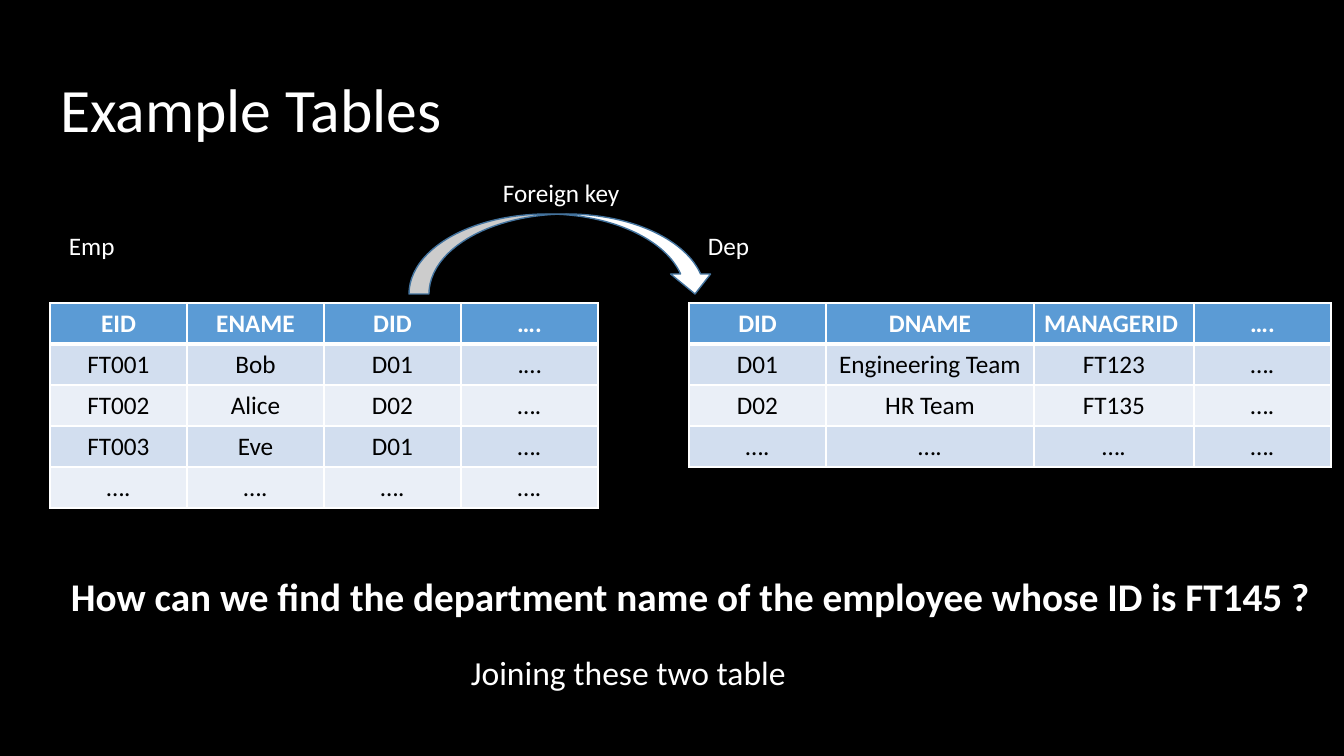
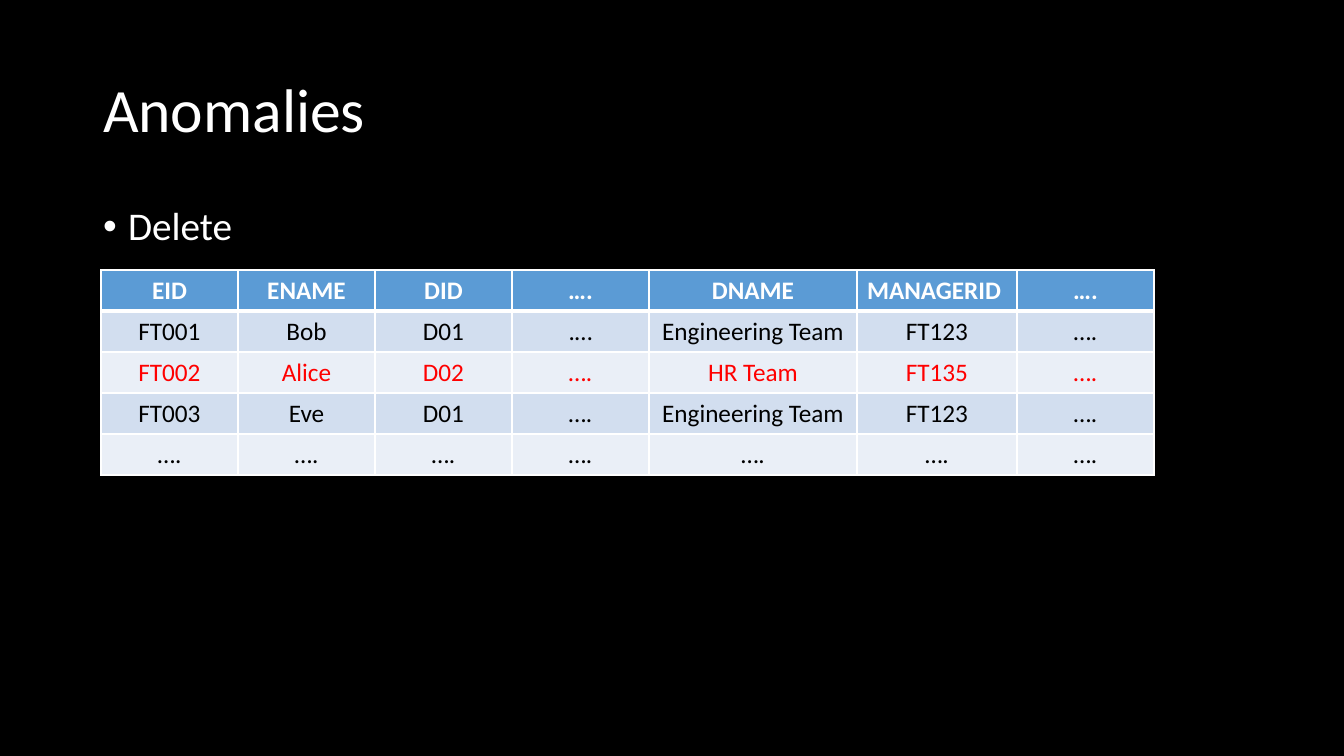
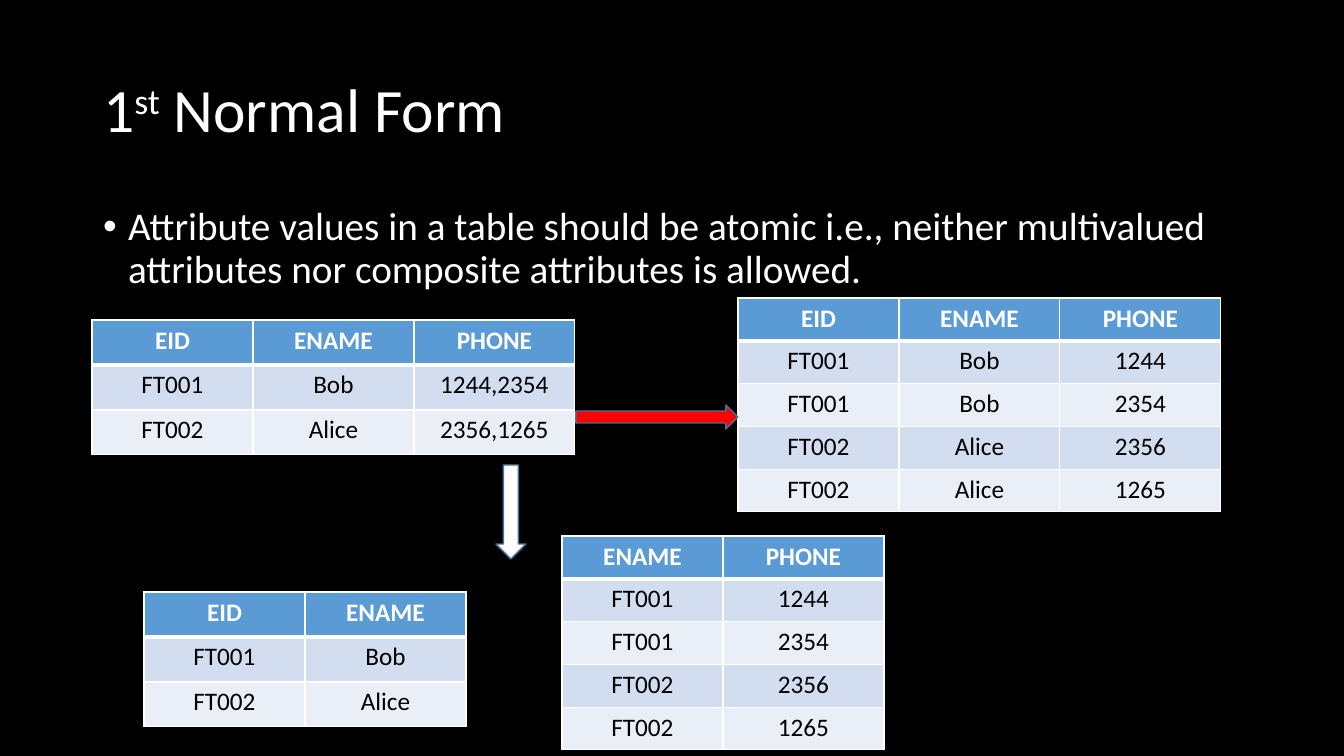
from lxml import etree
from pptx import Presentation
from pptx.dml.color import RGBColor
from pptx.enum.shapes import MSO_SHAPE
from pptx.enum.text import MSO_ANCHOR, MSO_AUTO_SIZE, PP_ALIGN
from pptx.oxml.ns import qn
from pptx.util import Pt

LEFT, CENTER = PP_ALIGN.LEFT, PP_ALIGN.CENTER
TOP, MIDDLE = MSO_ANCHOR.TOP, MSO_ANCHOR.MIDDLE
NO_FIT, GROW = MSO_AUTO_SIZE.NONE, MSO_AUTO_SIZE.SHAPE_TO_FIT_TEXT
CURVED_ARROW = MSO_SHAPE.CURVED_LEFT_ARROW
RIGHT_ARROW, DOWN_ARROW = MSO_SHAPE.RIGHT_ARROW, MSO_SHAPE.DOWN_ARROW

SLIDE_W, SLIDE_H = 1344, 756
EMU_PER_PX = 12192000 / SLIDE_W
FONT = "Calibri"
COLORS = {
    "background": "000000",
    "text": "FFFFFF",
    "cell_text": "000000",
    "alert": "FF0000",
    "header": "5B9BD5",
    "odd_row": "D2DEEF",
    "even_row": "EAEFF7",
    "border": "FFFFFF",
    "arrow": "FFFFFF",
    "arrow_line": "43739E",
}
COLUMN, NAME_COLUMN, MANAGER_COLUMN, PHONE_COLUMN = 137, 208, 160, 161
MARGIN, CONTENT_W = 93, 1159

EMPLOYEES = [
    ["EID", "ENAME", "DID", "…."],
    ["FT001", "Bob", "D01", ".…"],
    ["FT002", "Alice", "D02", "…."],
    ["FT003", "Eve", "D01", "…."],
    ["…."] * 4,
]
DEPARTMENTS = [
    ["DID", "DNAME", "MANAGERID", "…."],
    ["D01", "Engineering Team", "FT123", "…."],
    ["D02", "HR Team", "FT135", "…."],
    ["…."] * 4,
]
PHONES = [
    ["EID", "ENAME", "PHONE"],
    ["FT001", "Bob", "1244"],
    ["FT001", "Bob", "2354"],
    ["FT002", "Alice", "2356"],
    ["FT002", "Alice", "1265"],
]
PHONE_LISTS = [
    PHONES[0],
    ["FT001", "Bob", "1244,2354"],
    ["FT002", "Alice", "2356,1265"],
]


def px(length):
    return round(length * EMU_PER_PX)


def place(box):
    return [px(length) for length in box]


def rgb(name):
    return RGBColor.from_string(COLORS[name])


def write(frame, text, size=18, color="text", bold=False, align=LEFT, spacing=1.0, bullet=False):
    paragraph = frame.paragraphs[0]
    if bullet:
        properties = paragraph._p.get_or_add_pPr()
        properties.set("marL", str(px(25)))
        properties.set("indent", str(-px(25)))
        etree.SubElement(properties, qn("a:buFont")).set("typeface", "Arial")
        etree.SubElement(properties, qn("a:buChar")).set("char", "•")
    paragraph.alignment = align
    paragraph.line_spacing = spacing
    paragraph.space_before = Pt(0)
    pieces = [(text, 0)] if isinstance(text, str) else text
    for piece, raised in pieces:
        run = paragraph.add_run()
        run.text = piece
        run.font.name = FONT
        run.font.size = Pt(size)
        run.font.bold = bold
        run.font.color.rgb = rgb(color)
        if raised:
            run._r.get_or_add_rPr().set("baseline", str(raised * 1000))


def fill_placeholder(holder, box, anchor, text, **style):
    holder.left, holder.top, holder.width, holder.height = place(box)
    frame = holder.text_frame
    frame.auto_size = NO_FIT
    frame.vertical_anchor = anchor
    write(frame, text, spacing=0.9, **style)


def new_slide(deck, title, bullet=None, left=MARGIN):
    slide = deck.slides.add_slide(deck.slide_layouts[1 if bullet else 5])
    fill_placeholder(slide.shapes.title, (left, 40, CONTENT_W, 146), MIDDLE, title, size=44)
    if bullet:
        fill_placeholder(slide.placeholders[1], (MARGIN, 202, CONTENT_W, 480), TOP,
                         bullet, size=28, bullet=True)
    return slide


def add_label(slide, box, text, wrap=False, **style):
    frame = slide.shapes.add_textbox(*place(box)).text_frame
    frame.word_wrap = wrap
    frame.auto_size = GROW
    write(frame, text, **style)


def add_arrow(slide, kind, box, color="arrow", rotation=0):
    arrow = slide.shapes.add_shape(kind, *place(box))
    arrow.shadow.inherit = False
    arrow.rotation = rotation
    arrow.fill.solid()
    arrow.fill.fore_color.rgb = rgb(color)
    arrow.line.color.rgb = rgb("arrow_line")
    arrow.line.width = Pt(1)


def border_cell(cell, row):
    widths = {"L": 1, "R": 1, "T": 3 if row == 1 else 1, "B": 3 if row == 0 else 1}
    properties = cell._tc.get_or_add_tcPr()
    for side, width in widths.items():
        line = etree.SubElement(properties, qn(f"a:ln{side}"), w=str(Pt(width)))
        paint = etree.SubElement(line, qn("a:solidFill"))
        etree.SubElement(paint, qn("a:srgbClr"), val=COLORS["border"])


def add_grid(slide, left, top, height, columns, rows, alert_row=None):
    box = (left, top, sum(columns), height)
    grid = slide.shapes.add_table(len(rows), len(columns), *place(box)).table
    grid.horz_banding = False
    for column, width in zip(grid.columns, columns):
        column.width = px(width)
    for r, values in enumerate(rows):
        grid.rows[r].height = px(height / len(rows))
        band = "header" if r == 0 else "odd_row" if r % 2 else "even_row"
        color = "text" if r == 0 else "alert" if r == alert_row else "cell_text"
        for c, value in enumerate(values):
            cell = grid.cell(r, c)
            border_cell(cell, r)
            cell.fill.solid()
            cell.fill.fore_color.rgb = rgb(band)
            write(cell.text_frame, value, color=color, bold=r == 0,
                  align=LEFT if value == "MANAGERID" else CENTER)


def named_grid(slide, left, top, name, name_width, height, columns, rows):
    add_label(slide, (left + 9, top, name_width, 40), name)
    add_grid(slide, left, top + 78, height, columns, rows)


def foreign_key(slide, left, top):
    add_arrow(slide, CURVED_ARROW, (left + 113, top - 71, 80, 306), rotation=270)
    add_label(slide, (left + 84, top, 138, 40), "Foreign key")


def example_tables(deck):
    slide = new_slide(deck, "Example Tables", left=50)
    named_grid(slide, 50, 225, "Emp", 66, 205, [COLUMN] * 4, EMPLOYEES)
    named_grid(slide, 689, 225, "Dep", 62, 164,
               [COLUMN, NAME_COLUMN, MANAGER_COLUMN, COLUMN], DEPARTMENTS)
    foreign_key(slide, 409, 172)
    add_label(slide, (50, 567, 1280, 57),
              "How can we find the department name of the employee whose ID is FT145 ?",
              wrap=True, size=28, bold=True, align=CENTER)
    add_label(slide, (461, 647, 338, 50), "Joining these two table", size=24)


def joined_grids(slide, left, top):
    details = {row[0]: row[1:] for row in DEPARTMENTS}
    joined = [details[employee[2]] for employee in EMPLOYEES]
    add_grid(slide, left, top, 205, [COLUMN] * 4, EMPLOYEES, alert_row=2)
    add_grid(slide, left + 4 * COLUMN, top, 205,
             [NAME_COLUMN, MANAGER_COLUMN, COLUMN], joined, alert_row=2)


def anomalies(deck):
    slide = new_slide(deck, "Anomalies", "Delete")
    joined_grids(slide, 101, 270)


def phone_split(slide, left, top):
    names = [row[:2] for row in PHONE_LISTS]
    numbers = [["ENAME", "PHONE"]] + [[row[0], row[2]] for row in PHONES[1:]]
    grids = [
        (0, 22, 135, PHONE_LISTS),
        (646, 0, 214, PHONES),
        (52, 294, 135, names),
        (470, 238, 214, numbers),
    ]
    for dx, dy, height, rows in grids:
        add_grid(slide, left + dx, top + dy, height, [PHONE_COLUMN] * len(rows[0]), rows)
    add_arrow(slide, RIGHT_ARROW, (left + 484, top + 107, 162, 24), color="alert")
    add_arrow(slide, DOWN_ARROW, (left + 404, top + 167, 30, 94))


def first_normal_form(deck):
    slide = new_slide(
        deck, [("1", 0), ("st", 30), (" Normal Form", 0)],
        "Attribute values in a table should be atomic i.e., neither multivalued "
        "attributes nor composite attributes is allowed.")
    phone_split(slide, 92, 298)


def main():
    deck = Presentation()
    deck.slide_width, deck.slide_height = px(SLIDE_W), px(SLIDE_H)
    backdrop = deck.slide_master.background.fill
    backdrop.solid()
    backdrop.fore_color.rgb = rgb("background")
    for build in (example_tables, anomalies, first_normal_form):
        build(deck)
    deck.save("out.pptx")


if __name__ == "__main__":
    main()
